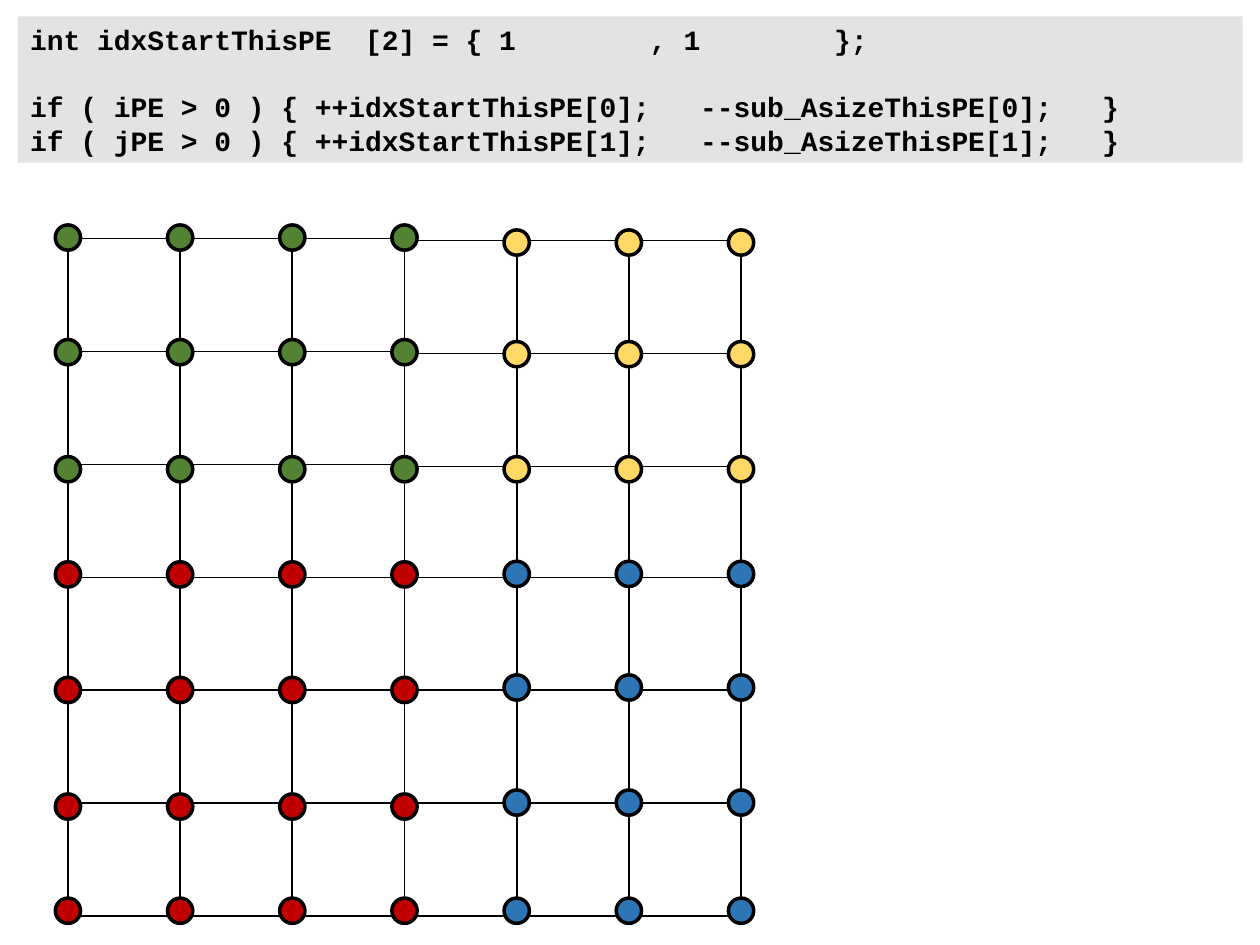
from lxml import etree
from pptx import Presentation
from pptx import util as u
from pptx.dml.color import RGBColor
from pptx.enum import shapes, text
from pptx.oxml.ns import qn

BLACK = "000000"
CODE = [
    "int idxStartThisPE  [2] = { 1        , 1        };",
    "if ( iPE > 0 ) { ++idxStartThisPE[0];   --sub_AsizeThisPE[0];   }",
    "if ( jPE > 0 ) { ++idxStartThisPE[1];   --sub_AsizeThisPE[1];   }",
]
CODE_FONT = {"name": "Courier New", "size": u.Pt(16), "bold": True}
LINE_PITCH = u.Pt(19.2)

CELLS = 6     # cells along each side of the grid
SPLIT = 3     # last column of the left half, first row of the lower half
DOT = 0.51
# Colour, columns and vertical centres of the nodes owned by each process
PROCESSES = [
    ("548235", range(0, 4), (-0.02, 2.29, 4.65)),
    ("FFD966", range(4, 7), (0.08, 2.33, 4.65)),
    ("C00000", range(0, 4), (6.77, 9.1, 11.45, 13.55)),
    ("2E75B6", range(4, 7), (6.76, 9.05, 11.37, 13.55)),
]


def color(value):
    return RGBColor.from_string(value)


def set_fill(sp, value, alpha=None):
    sp.fill.solid()
    sp.fill.fore_color.rgb = color(value)
    if alpha is not None:
        clr = sp.fill._xPr.find(".//" + qn("a:srgbClr"))
        etree.SubElement(clr, qn("a:alpha"), val=str(alpha * 1000))


def set_line(sp, width):
    sp.line.color.rgb = color(BLACK)
    sp.line.width = u.Pt(width)


def code_panel(s, left, top, width, height):
    sp = s.shapes.add_shape(shapes.MSO_SHAPE.RECTANGLE,
                            *map(u.Cm, (left, top, width, height)))
    sp.shadow.inherit = False
    sp.line.fill.background()
    set_fill(sp, "D0CECE", 56)
    tf = sp.text_frame
    frame = {"word_wrap": True, "vertical_anchor": text.MSO_ANCHOR.TOP,
             "margin_left": u.Cm(0.25), "margin_right": u.Cm(0.25),
             "margin_top": u.Cm(0.13), "margin_bottom": u.Cm(0.13)}
    for name, value in frame.items():
        setattr(tf, name, value)
    for i, line in enumerate(CODE):
        p = tf.add_paragraph() if i else tf.paragraphs[0]
        p.alignment = text.PP_ALIGN.LEFT
        p.line_spacing = LINE_PITCH
        # The declaration stands one line apart from the tests
        p.space_before = LINE_PITCH if i == 1 else u.Pt(0)
        r = p.add_run()
        r.text = line
        for name, value in CODE_FONT.items():
            setattr(r.font, name, value)
        r.font.color.rgb = color(BLACK)


def wire(group, x1, y1, x2, y2):
    c = group.shapes.add_connector(shapes.MSO_CONNECTOR.STRAIGHT,
                                   *map(u.Cm, (x1, y1, x2, y2)))
    set_line(c, 1)
    etree.SubElement(c._element.spPr, qn("a:effectLst"))


def node(group, x, y, fill):
    sp = group.shapes.add_shape(shapes.MSO_SHAPE.OVAL, u.Cm(x - DOT / 2),
                                u.Cm(y - DOT / 2), u.Cm(DOT), u.Cm(DOT))
    sp.shadow.inherit = False
    set_fill(sp, fill)
    set_line(sp, 2)


def process_grid(s, left, top, width, height):
    group = s.shapes.add_group_shape()
    dx, dy = width / CELLS, height / CELLS
    mid_x, mid_y = left + SPLIT * dx, top + SPLIT * dy

    # Wires, each drawn as two halves
    for i in range(CELLS + 1):
        x, y = left + i * dx, top + i * dy
        for start in (top + 0.05, mid_y):
            wire(group, x, start, x, start + 6.45)
        for start in (left, mid_x):
            # Right-hand wires above the split sit slightly lower
            drop = 0.04 if start == mid_x and i < SPLIT else 0
            wire(group, start + width / 2, y + drop, start - 0.13, y + drop)

    # Nodes, coloured by process
    for fill, columns, centres in PROCESSES:
        for cy in centres:
            for column in columns:
                node(group, left + column * dx, top + cy, fill)


def main():
    prs = Presentation()
    prs.slide_width, prs.slide_height = u.Cm(25.4), u.Cm(19.05)
    s = prs.slides.add_slide(prs.slide_layouts[6])
    code_panel(s, 0.36, 0.33, 24.69, 2.95)
    process_grid(s, 1.37, 4.81, 13.57, 13.66)
    prs.save("out.pptx")


if __name__ == "__main__":
    main()
